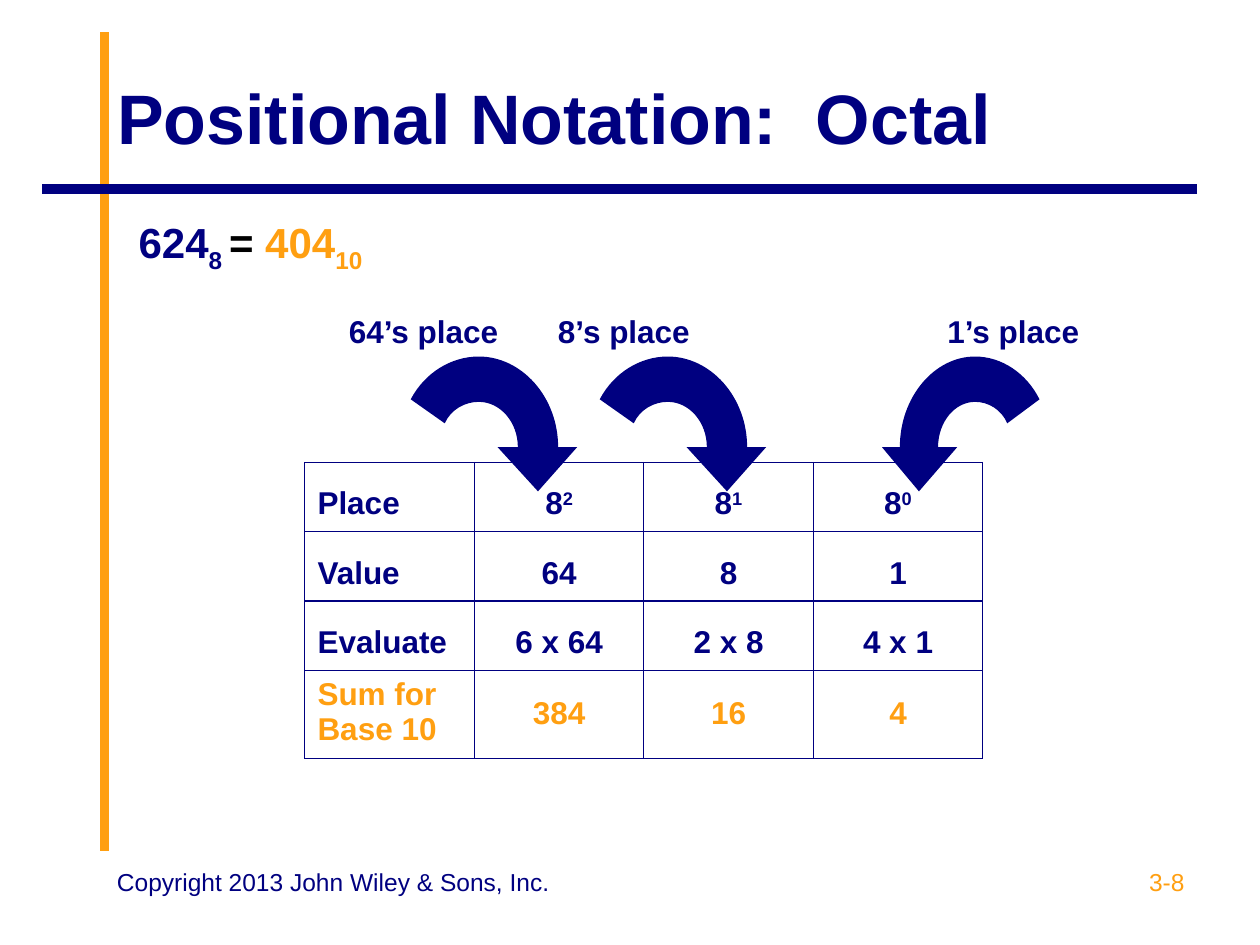
from pptx import Presentation
from pptx.dml.color import RGBColor
from pptx.enum.shapes import MSO_CONNECTOR
from pptx.enum.text import MSO_ANCHOR, MSO_AUTO_SIZE, PP_ALIGN
from pptx.oxml.xmlchemy import OxmlElement
from pptx.util import Inches, Pt

LEFT, CENTER, RIGHT = PP_ALIGN.LEFT, PP_ALIGN.CENTER, PP_ALIGN.RIGHT
MIDDLE, TOP = MSO_ANCHOR.MIDDLE, MSO_ANCHOR.TOP
NO_FIT = MSO_AUTO_SIZE.NONE
STRAIGHT = MSO_CONNECTOR.STRAIGHT
NAVY = RGBColor(0x00, 0x00, 0x80)
GOLD = RGBColor(0xFF, 0x9F, 0x11)
BLACK = RGBColor(0, 0, 0)
SUB, SUP = -25, 30

TITLE = [("Positional Notation:  Octal", NAVY, 0)]
SUM = [("624", NAVY, 0), ("8 ", NAVY, SUB), ("= ", BLACK, 0),
       ("404", GOLD, 0), ("10", GOLD, SUB)]
ROWS = [
    ("Place", "8^2", "8^1", "8^0"),
    ("Value", "64", "8", "1"),
    ("Evaluate", "6 x 64", "2 x 8", "4 x 1"),
    ("Sum for Base 10", "384", "16", "4"),
]
HIGHS = (0.55, 0.55, 0.55, 0.7)
GRID_WIDE = 5.38
RULES = [((0.83, 6.75), (0.83, 0.25), GOLD), ((9.5, 1.5), (0.33, 1.5), NAVY)]
HINTS = [
    ("64’s place", 2.67, 1.67, 3.26, 1.32, False),
    ("8’s place", 4.33, 1.67, 4.76, 1.32, False),
    ("1’s place", 7.42, 1.42, 7, 1.25, True),
]
ARC_TOP, ARC_HIGH = 2.83, 1.07
UNITS = (132, 107)
ARROW = [
    [(85, 72)],
    [(85, 52), (71, 36), (54, 36)],
    [(43, 36), (32, 42), (27, 53)],
    [(0, 34)],
    [(11, 13), (32, 0), (54, 0)],
    [(88, 0), (117, 32), (117, 72)],
    [(132, 72)], [(101, 107)], [(69, 72)],
]
NOTES = [("3-8", 7.17, 2.33, GOLD, RIGHT),
         ("Copyright 2013 John Wiley & Sons, Inc.", 0.83, 3.67, NAVY, LEFT)]


def write(frame, runs, size, bold=True, align=LEFT, space=1):
    para = frame.paragraphs[0]
    para.alignment = align
    para.line_spacing = space
    para.space_before = Pt(0)
    for text, color, base in runs:
        run = para.add_run()
        run.text = text
        font = run.font
        font.name, font.size, font.bold = "Arial", Pt(size), bold
        font.color.rgb = color
        if base:
            run._r.get_or_add_rPr().set("baseline", str(base * 1000))
    return para


def fill_holder(shape, box, runs, size, anchor):
    shape.left, shape.top, shape.width, shape.height = map(Inches, box)
    frame = shape.text_frame
    frame.auto_size = NO_FIT
    frame.vertical_anchor = anchor
    return write(frame, runs, size)


def add_text(shapes, box, runs, size, bold=True, align=LEFT):
    frame = shapes.add_textbox(*map(Inches, box)).text_frame
    frame.word_wrap = True
    write(frame, runs, size, bold, align)


def add_rule(shapes, start, end, color):
    rule = shapes.add_connector(STRAIGHT, *map(Inches, start + end))
    rule.line.color.rgb = color
    rule.line.width = Pt(5.5)
    rule._element.spPr.append(OxmlElement("a:effectLst"))


def add_arrow(shapes, left, wide, flip):
    def scale(point):
        x, y = (part / unit for part, unit in zip(point, UNITS))
        return Inches(wide * (1 - x if flip else x)), Inches(ARC_HIGH * y)

    parts = [[scale(point) for point in part] for part in ARROW]
    ends = [part[-1] for part in parts]
    pen = shapes.build_freeform(*ends[0])
    pen.add_line_segments(ends[1:], close=True)
    arrow = pen.convert_to_shape(Inches(left), Inches(ARC_TOP))
    lines = arrow._element.xpath(".//a:lnTo")
    for line, part in zip(lines, parts[1:]):
        if len(part) == 3:
            curve = OxmlElement("a:cubicBezTo")
            for x, y in part:
                spot = OxmlElement("a:pt")
                spot.set("x", str(int(x)))
                spot.set("y", str(int(y)))
                curve.append(spot)
            line.getparent().replace(line, curve)
    arrow.shadow.inherit = False
    arrow.fill.solid()
    arrow.fill.fore_color.rgb = NAVY
    arrow.line.fill.background()


def add_border(cell):
    props = cell._tc.get_or_add_tcPr()
    for side in "LRTB":
        line = OxmlElement("a:ln" + side)
        line.set("w", str(Pt(0.75)))
        solid, color = OxmlElement("a:solidFill"), OxmlElement("a:srgbClr")
        color.set("val", str(NAVY))
        solid.append(color)
        line.append(solid)
        props.append(line)


def add_grid(shapes):
    count = len(ROWS[0])
    box = (2.42, 3.67, GRID_WIDE, sum(HIGHS))
    grid = shapes.add_table(len(ROWS), count, *map(Inches, box)).table
    grid.first_row = grid.horz_banding = False
    for r, (row, high) in enumerate(zip(ROWS, HIGHS)):
        grid.rows[r].height = Inches(high)
        last = r == len(ROWS) - 1
        color = GOLD if last else NAVY
        for c, text in enumerate(row):
            cell = grid.cell(r, c)
            add_border(cell)
            cell.fill.background()
            base, _, power = text.partition("^")
            runs = [(base, color, 0)] + ([(power, color, SUP)] if power else [])
            space = 1.5 if not last else 1.55 if c else 1
            write(cell.text_frame, runs, 18, align=CENTER if c else LEFT,
                  space=space)


def main():
    deck = Presentation()
    deck.slide_width, deck.slide_height = Inches(10), Inches(7.5)
    slide = deck.slides.add_slide(deck.slide_layouts[1])
    shapes = slide.shapes
    for rule in RULES:
        add_rule(shapes, *rule)
    fill_holder(shapes.title, (0.83, 0.3, 8.67, 1.25), TITLE, 40, MIDDLE)
    para = fill_holder(slide.placeholders[1], (1, 1.67, 8.5, 1.06), SUM, 24, TOP)
    props = para._p.get_or_add_pPr()
    props.set("marL", str(Inches(0.38)))
    props.set("indent", str(Inches(-0.38)))
    props.append(OxmlElement("a:buNone"))
    add_grid(shapes)
    for text, left, wide, start, span, flip in HINTS:
        group = shapes.add_group_shape().shapes
        add_arrow(group, start, span, flip)
        add_text(group, (left, 2.43, wide, 0.4), [(text, NAVY, 0)], 18)
    for text, left, wide, color, align in NOTES:
        add_text(shapes, (left, 6.83, wide, 0.52), [(text, color, 0)], 14,
                 False, align)
    deck.save("out.pptx")


if __name__ == "__main__":
    main()
